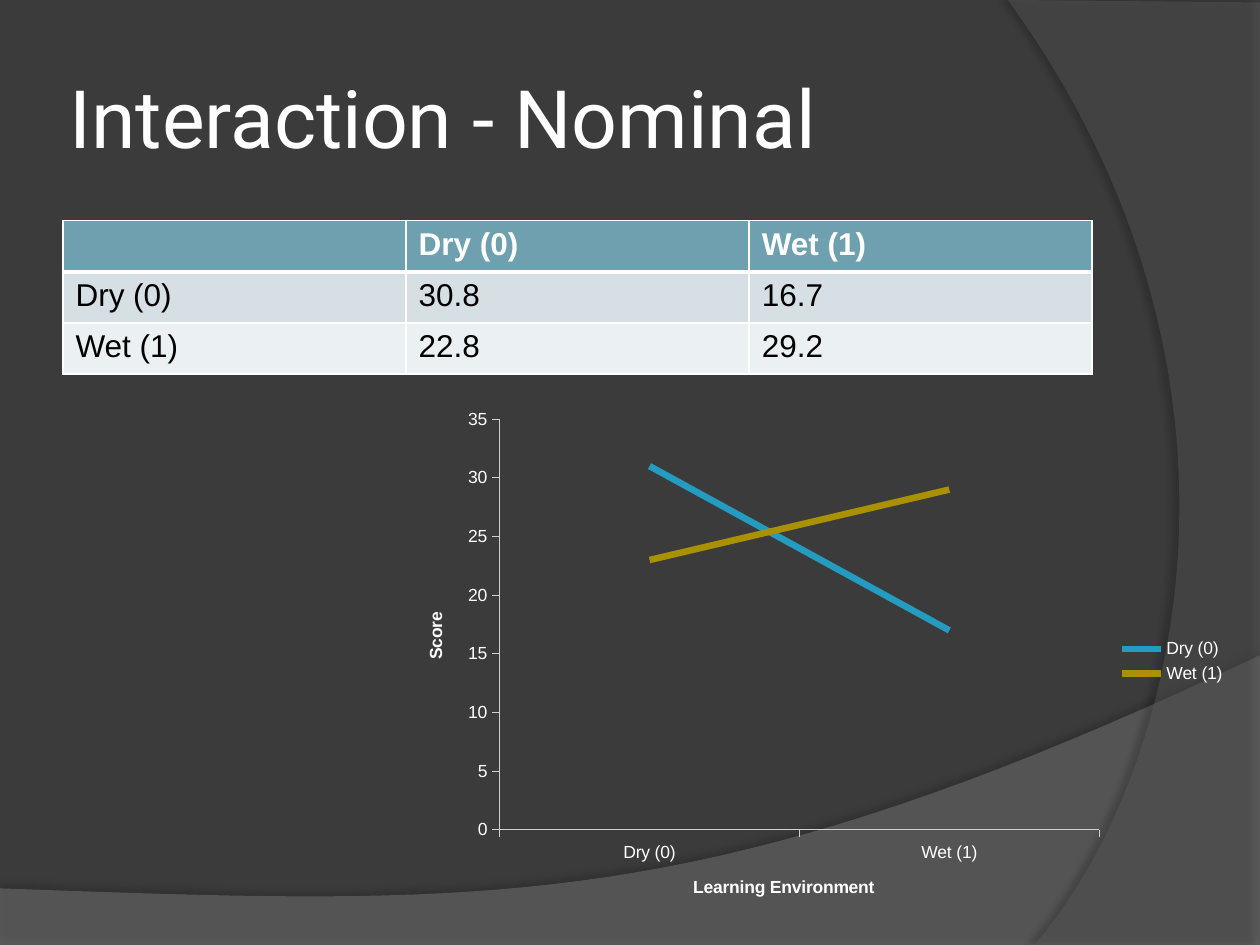
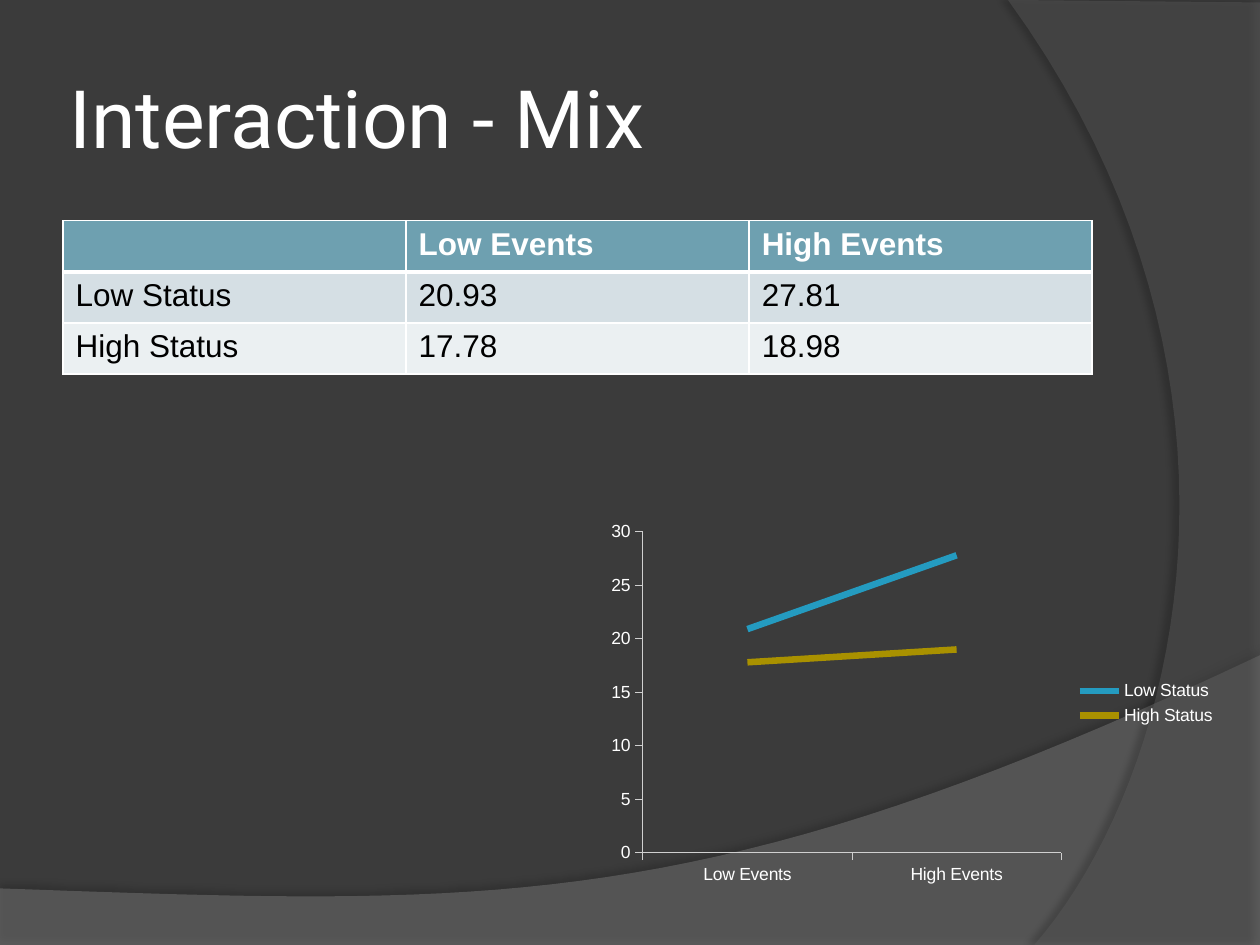
from dataclasses import dataclass

from lxml.etree import SubElement
from pptx import Presentation
from pptx.chart.data import CategoryChartData
from pptx.dml.color import RGBColor
from pptx.enum.chart import XL_CHART_TYPE as ChartType
from pptx.enum.chart import XL_LEGEND_POSITION as LegendPosition
from pptx.enum.chart import XL_TICK_MARK as TickMark
from pptx.enum.text import MSO_ANCHOR as Anchor
from pptx.enum.text import PP_ALIGN as Align
from pptx.oxml.ns import qn
from pptx.util import Cm, Pt

COLOURS = {
    "background": "3B3B3B",
    "wave": "7F7F7F",
    "arc": "5E5E5E",
    "shadow": "000000",
    "white": "FFFFFF",
    "black": "000000",
    "header": "6EA0B0",
    "odd_row": "D5DFE4",
    "even_row": "EBF0F2",
    "axis": "D0D0D0",
    "first_line": "249BC0",
    "second_line": "A99100",
}
TITLE_FONT = "Roboto"
BODY_FONT = "Arial"
WIDTH, HEIGHT = 25.4, 19.05
LEFT, CONTENT_WIDTH = 1.27, 20.75
ROW_HEIGHT = 1.03
CURVE_STEPS = 40

Point = tuple[float, float]


@dataclass
class Band:
    colour: str
    opacity: int
    corners: list[Point]
    controls: list[Point]
    shadow_opacity: int
    shadow_distance: float
    shadow_angle: int


@dataclass
class Interaction:
    title: str
    columns: list[str]
    scores: dict[str, list[float]]
    chart_area: tuple[float, float, float, float]
    chart_digits: int
    score_limit: int
    category_title: str = ""
    value_title: str = ""


BANDS = [
    Band("wave", 45, [(0, 17.91), (0, HEIGHT), (WIDTH, HEIGHT), (WIDTH, 13.21)],
         [(14.2, 18.52), (9.93, 18.26), (0, 17.91)], 35, 3.5, 270),
    Band("arc", 40, [(WIDTH, 0.05), (WIDTH, HEIGHT), (20.85, HEIGHT)],
         [(23.75, 15.72), (25.86, 7.62), (20.32, 0)], 45, 4, 180),
]

INTERACTIONS = [
    Interaction("Interaction - Nominal", ["Dry (0)", "Wet (1)"],
                {"Dry (0)": [30.8, 16.7], "Wet (1)": [22.8, 29.2]},
                (8.04, 8.04, 16.93, 10.58), 0, 35, "Learning Environment", "Score"),
    Interaction("Interaction - Mix", ["Low Events", "High Events"],
                {"Low Status": [20.93, 27.81], "High Status": [17.78, 18.98]},
                (12.07, 10.37, 12.7, 7.62), 1, 30),
]


def colour(name: str) -> RGBColor:
    return RGBColor.from_string(COLOURS[name])


def style_font(font, name: str, size: float, shade: str, bold: bool = False) -> None:
    font.name = name
    font.size = Pt(size)
    font.bold = bold
    font.color.rgb = colour(shade)


def add_colour(parent, name: str, opacity: int = 100) -> None:
    element = SubElement(parent, qn("a:srgbClr"), val=COLOURS[name])
    if opacity < 100:
        SubElement(element, qn("a:alpha"), val=str(opacity * 1000))


def curve_points(start: Point, controls: list[Point]) -> list[Point]:
    points = []
    for step in range(1, CURVE_STEPS + 1):
        t = step / CURVE_STEPS
        weights = ((1 - t) ** 3, 3 * t * (1 - t) ** 2, 3 * t * t * (1 - t), t ** 3)
        points.append(tuple(sum(weight * point[axis] for weight, point in
                                zip(weights, [start, *controls])) for axis in (0, 1)))
    return points


def add_band(page, band: Band):
    outline = band.corners + curve_points(band.corners[-1], band.controls)
    vertices = [(Cm(x), Cm(y)) for x, y in outline]
    builder = page.shapes.build_freeform(*vertices[0])
    builder.add_line_segments(vertices[1:], close=True)
    shape = builder.convert_to_shape()
    shape.line.fill.background()
    shape.fill.solid()
    shape.fill.fore_color.rgb = colour(band.colour)
    fill_colour = shape.element.spPr.find(qn("a:solidFill"))[0]
    SubElement(fill_colour, qn("a:alpha"), val=str(band.opacity * 1000))
    shape.shadow.inherit = False
    effects = shape.element.spPr.find(qn("a:effectLst"))
    shadow = SubElement(effects, qn("a:outerShdw"), blurRad=str(Pt(4)),
                        dist=str(Pt(band.shadow_distance)),
                        dir=str(band.shadow_angle * 60000), rotWithShape="0")
    add_colour(shadow, "shadow", band.shadow_opacity)
    return shape


def set_up_master(deck, page) -> None:
    master = deck.slide_master
    master.background.fill.solid()
    master.background.fill.fore_color.rgb = colour("background")
    tree = master.element.cSld.spTree
    for index, band in enumerate(BANDS):
        tree.insert(2 + index, add_band(page, band).element)


def set_title(page, text: str) -> None:
    title = page.shapes.title
    title.left, title.top = Cm(LEFT), Cm(0.76)
    title.width, title.height = Cm(CONTENT_WIDTH), Cm(3.18)
    frame = title.text_frame
    frame.text = text
    frame.vertical_anchor = Anchor.MIDDLE
    frame.margin_left = frame.margin_right = Cm(0.13)
    frame.margin_top = frame.margin_bottom = Cm(0.13)
    para = frame.paragraphs[0]
    para.alignment = Align.LEFT
    style_font(para.font, TITLE_FONT, 46, "white")


def set_borders(cell, top: float, bottom: float) -> None:
    properties = cell._tc.get_or_add_tcPr()
    for side, width in (("L", 1), ("R", 1), ("T", top), ("B", bottom)):
        line = SubElement(properties, qn(f"a:ln{side}"), w=str(Pt(width)))
        add_colour(SubElement(line, qn("a:solidFill")), "white")


def add_score_table(page, interaction: Interaction) -> None:
    rows = [["", *interaction.columns]]
    rows += [[name, *map(str, values)] for name, values in interaction.scores.items()]
    table = page.shapes.add_table(len(rows), len(rows[0]), Cm(LEFT), Cm(4.45),
                                  Cm(CONTENT_WIDTH), Cm(ROW_HEIGHT * len(rows))).table
    for row_index, row in enumerate(rows):
        is_header = row_index == 0
        shade = ("header", "odd_row", "even_row")[row_index]
        for column_index, text in enumerate(row):
            cell = table.cell(row_index, column_index)
            set_borders(cell, 3 if row_index == 1 else 1, 3 if is_header else 1)
            cell.fill.solid()
            cell.fill.fore_color.rgb = colour(shade)
            cell.text = text
            style_font(cell.text_frame.paragraphs[0].font, BODY_FONT, 18,
                       "white" if is_header else "black", is_header)


def style_axis(axis, title: str) -> None:
    axis.has_major_gridlines = False
    axis.major_tick_mark = TickMark.OUTSIDE
    axis.minor_tick_mark = TickMark.NONE
    axis.format.line.color.rgb = colour("axis")
    axis.format.line.width = Pt(0.5)
    axis.has_title = bool(title)
    if title:
        frame = axis.axis_title.text_frame
        frame.text = title
        style_font(frame.paragraphs[0].font, BODY_FONT, 10, "white", True)


def add_score_chart(page, interaction: Interaction) -> None:
    data = CategoryChartData()
    data.categories = interaction.columns
    for name, values in interaction.scores.items():
        data.add_series(name, [round(value, interaction.chart_digits) for value in values])
    area = [Cm(length) for length in interaction.chart_area]
    chart = page.shapes.add_chart(ChartType.LINE, *area, data).chart
    style_font(chart.font, BODY_FONT, 10, "white")
    chart.has_title = False
    chart.has_legend = True
    chart.legend.position = LegendPosition.RIGHT
    chart.legend.include_in_layout = False
    style_axis(chart.category_axis, interaction.category_title)
    style_axis(chart.value_axis, interaction.value_title)
    chart.value_axis.minimum_scale = 0
    chart.value_axis.maximum_scale = interaction.score_limit
    chart.value_axis.major_unit = 5
    plot = chart.plots[0]
    plot.vary_by_categories = False
    for series, shade in zip(plot.series, ("first_line", "second_line")):
        series.smooth = False
        series.format.line.color.rgb = colour(shade)
        series.format.line.width = Pt(3.75)


def main() -> None:
    deck = Presentation()
    deck.slide_width, deck.slide_height = Cm(WIDTH), Cm(HEIGHT)
    title_only = deck.slide_layouts[5]
    pages = [deck.slides.add_slide(title_only) for _ in INTERACTIONS]
    set_up_master(deck, pages[0])
    for page, interaction in zip(pages, INTERACTIONS):
        set_title(page, interaction.title)
        add_score_table(page, interaction)
        add_score_chart(page, interaction)
    deck.save("out.pptx")


if __name__ == "__main__":
    main()
